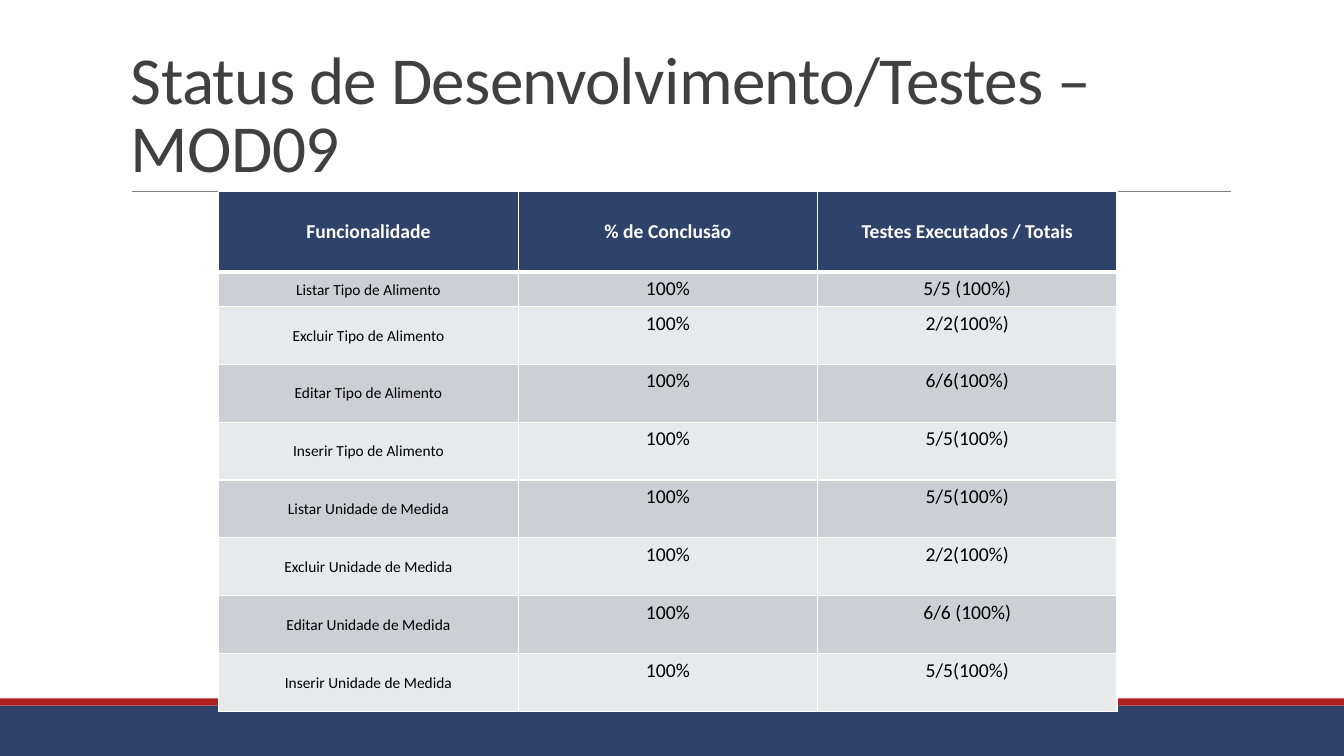
from lxml import etree
from pptx import Presentation
from pptx import util as u
from pptx.dml.color import RGBColor
from pptx.enum import shapes, text
from pptx.oxml import parse_xml
from pptx.oxml.ns import nsdecls, qn


def rgb(value):
    return RGBColor.from_string(value)


def add_borders(cell, bottom):
    tcPr = cell._tc.get_or_add_tcPr()
    for i, (side, width) in enumerate(zip("LRTB", (1, 1, 1, bottom))):
        tcPr.insert(i, parse_xml(
            f'<a:ln{side} {nsdecls("a")} w="{u.Pt(width)}"><a:solidFill>'
            f'<a:srgbClr val="FFFFFF"/></a:solidFill></a:ln{side}>'))


prs = Presentation()
prs.slide_width, prs.slide_height = u.Inches(13.33), u.Inches(7.5)
s = prs.slides.add_slide(prs.slide_layouts[6])

for top, height, color in ((7, 0.5, "2F426A"), (6.93, 0.07, "AD1F1F")):
    sp = s.shapes.add_shape(shapes.MSO_SHAPE.RECTANGLE, 0, u.Inches(top),
                            prs.slide_width, u.Inches(height))
    sp.shadow.inherit = False
    sp.fill.solid()
    sp.fill.fore_color.rgb = rgb(color)
    sp.line.fill.background()

rule = s.shapes.add_connector(shapes.MSO_CONNECTOR.STRAIGHT, u.Inches(1.31), u.Inches(1.9),
                              u.Inches(12.21), u.Inches(1.9))
rule.line.color.rgb = rgb("808080")
rule.line.width = u.Pt(0.5)
etree.SubElement(rule._element.spPr, qn("a:effectLst"))

title = s.shapes.add_textbox(u.Inches(1.2), u.Inches(0.31), u.Inches(11), u.Inches(1.59))
tf = title.text_frame
tf.word_wrap = True
tf.vertical_anchor = text.MSO_ANCHOR.BOTTOM
p = tf.paragraphs[0]
p.line_spacing = 0.85
r = p.add_run()
r.text = "Status de Desenvolvimento/Testes – MOD09"
r.font._element.set("spc", "-50")
p.font.name, p.font.size = "Calibri", u.Pt(48)
p.font.color.rgb = rgb("404040")

rows = [
    ("Funcionalidade", "% de Conclusão", "Testes Executados / Totais"),
    ("Listar Tipo de Alimento", "100%", "5/5 (100%)"),
    ("Excluir Tipo de Alimento", "100%", "2/2(100%)"),
    ("Editar Tipo de Alimento", "100%", "6/6(100%)"),
    ("Inserir Tipo de Alimento", "100%", "5/5(100%)"),
    ("Listar Unidade de Medida", "100%", "5/5(100%)"),
    ("Excluir Unidade de Medida", "100%", "2/2(100%)"),
    ("Editar Unidade de Medida", "100%", "6/6 (100%)"),
    ("Inserir Unidade de Medida", "100%", "5/5(100%)"),
]
table_height, header_height, first_height = 5.16, 0.8, 0.34
row_height = (table_height - header_height - first_height) / (len(rows) - 2)
heights = [header_height, first_height] + [row_height] * (len(rows) - 2)

table = s.shapes.add_table(len(rows), 3, u.Inches(2.17), u.Inches(1.9),
                           u.Inches(8.9), u.Inches(table_height)).table
for column in table.columns:
    column.width = u.Inches(2.97)

for i, (values, height) in enumerate(zip(rows, heights)):
    table.rows[i].height = u.Inches(height)
    header = i == 0
    for j, value in enumerate(values):
        feature = j == 0 and not header
        cell = table.cell(i, j)
        cell.text = value
        cell.fill.solid()
        cell.fill.fore_color.rgb = rgb("2F426A" if header else "CDCFD4" if i % 2 else "E8E9EB")
        add_borders(cell, 3 if header else 1)
        if header or feature:
            cell.vertical_anchor = text.MSO_ANCHOR.MIDDLE
        if feature:
            cell.margin_left = cell.margin_right = cell.margin_top = u.Inches(0.01)
            cell.margin_bottom = 0
        p = cell.text_frame.paragraphs[0]
        p.alignment = text.PP_ALIGN.CENTER
        p.font.name, p.font.size = "Calibri", u.Pt(11 if feature else 14)
        p.font.bold = header
        p.font.color.rgb = rgb("FFFFFF" if header else "000000")

prs.save("out.pptx")
